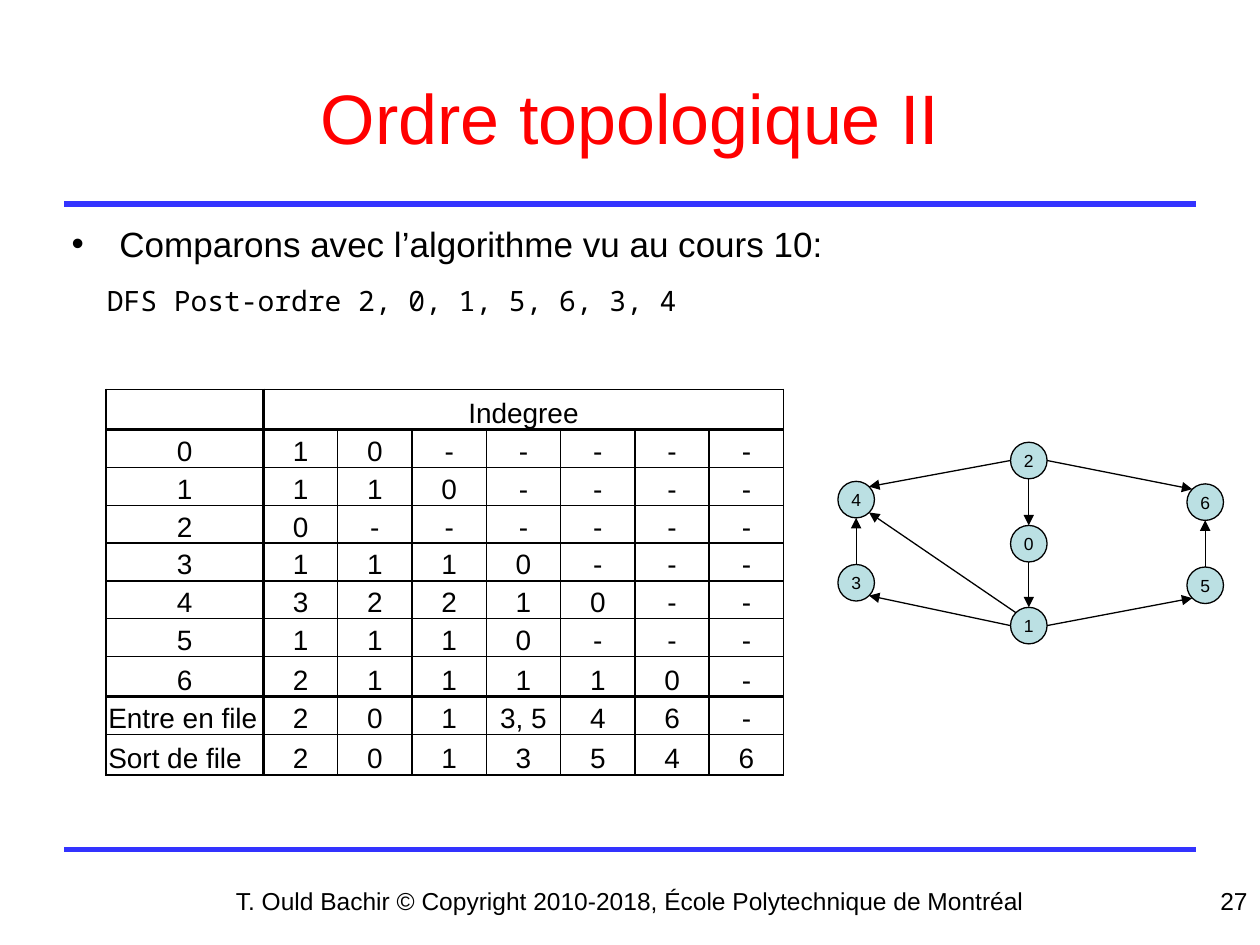
from math import cos, radians, sin
from typing import NamedTuple

from lxml.etree import SubElement
from pptx import Presentation
from pptx.dml.color import RGBColor
from pptx.enum.shapes import MSO_CONNECTOR as Connector, MSO_SHAPE as Preset
from pptx.enum.text import MSO_ANCHOR as Anchor, PP_ALIGN as Align
from pptx.oxml.ns import qn
from pptx.util import Inches, Pt

COLORS = {"title": "FF0000", "rule": "3333FF", "ink": "000000", "node": "BBE0E3"}
DIAMETER = 0.29
THIN, THICK = 1, 2.25


class Label(NamedTuple):
    text: str
    left: float
    top: float
    width: float
    height: float
    size: float
    align: Align = Align.LEFT
    anchor: Anchor = Anchor.TOP
    color: str = "ink"
    font: str = "Arial"


class Node(NamedTuple):
    name: str
    left: float
    top: float


class Edge(NamedTuple):
    """Sites run counterclockwise from the top of the circle, 45 degrees apart."""
    source: str
    source_site: int
    target: str
    target_site: int


TITLE = Label("Ordre topologique II", 0.5, 0.3, 9, 1.25, 40,
              Align.CENTER, Anchor.MIDDLE, "title")
FOOTER = Label("T. Ould Bachir © Copyright 2010-2018, École Polytechnique de Montréal",
               0, 6.98, 10, 0.52, 14, Align.CENTER)
PAGE_NUMBER = Label("27", 7.67, 6.98, 2.33, 0.52, 14, Align.RIGHT)
COMPARISON = Label("Comparons avec l’algorithme vu au cours 10:", 0.47, 1.72, 9.03, 0.86, 20)
POST_ORDER = Label("DFS Post-ordre 2, 0, 1, 5, 6, 3, 4", 0.75, 2.2, 4.96, 0.37, 16,
                   font="Noto Sans Mono")

INDEGREES = [
    ["", "Indegree", "", "", "", "", "", ""],
    ["0", "1", "0", "-", "-", "-", "-", "-"],
    ["1", "1", "1", "0", "-", "-", "-", "-"],
    ["2", "0", "-", "-", "-", "-", "-", "-"],
    ["3", "1", "1", "1", "0", "-", "-", "-"],
    ["4", "3", "2", "2", "1", "0", "-", "-"],
    ["5", "1", "1", "1", "0", "-", "-", "-"],
    ["6", "2", "1", "1", "1", "1", "0", "-"],
    ["Entre en file", "2", "0", "1", "3, 5", "4", "6", "-"],
    ["Sort de file", "2", "0", "1", "3", "5", "4", "6"],
]
COLUMN_WIDTHS = [1.25] + [0.59] * 7
ROW_HEIGHTS = [0.32] + [0.3] * 6 + [0.32, 0.3, 0.32]
THICK_BELOW = {0, 7}  # rows followed by a heavy rule

NODES = [Node("2", 8.02, 3.51), Node("0", 8.02, 4.17), Node("1", 8.02, 4.82),
         Node("6", 9.42, 3.84), Node("5", 9.42, 4.5),
         Node("4", 6.65, 3.82), Node("3", 6.65, 4.48)]
EDGES = [Edge("2", 2, "4", 7), Edge("2", 4, "0", 0), Edge("0", 4, "1", 0),
         Edge("3", 0, "4", 4), Edge("1", 2, "3", 5), Edge("2", 6, "6", 1),
         Edge("5", 0, "6", 4), Edge("1", 6, "5", 3), Edge("1", 1, "4", 5)]


def color(name: str) -> RGBColor:
    return RGBColor.from_string(COLORS[name])


def add_run(paragraph, text: str, size: float, ink: str = "ink", font: str = "Arial") -> None:
    run = paragraph.add_run()
    run.text = text
    run.font.size = Pt(size)
    run.font.name = font
    run.font.color.rgb = color(ink)


def add_label(slide, label: Label):
    box = slide.shapes.add_textbox(Inches(label.left), Inches(label.top),
                                   Inches(label.width), Inches(label.height))
    frame = box.text_frame
    frame.word_wrap = True
    frame.vertical_anchor = label.anchor
    paragraph = frame.paragraphs[0]
    paragraph.alignment = label.align
    add_run(paragraph, label.text, label.size, label.color, label.font)
    return paragraph


def add_bullet(paragraph) -> None:
    paragraph.space_before = Pt(4)
    properties = paragraph._p.get_or_add_pPr()
    properties.set("marL", str(Inches(0.38)))
    properties.set("indent", str(Inches(-0.38)))
    SubElement(properties, qn("a:buFont"), typeface="Arial")
    SubElement(properties, qn("a:buChar"), char="•")


def add_line(slide, start: tuple[float, float], end: tuple[float, float],
             ink: str, width: float):
    line = slide.shapes.add_connector(Connector.STRAIGHT, *map(Inches, start + end))
    line.line.color.rgb = color(ink)
    line.line.width = Pt(width)
    SubElement(line._element.spPr, qn("a:effectLst"))
    return line


def set_borders(cell, row: int, column: int) -> None:
    heavy = {"lnL": column == 1, "lnR": column == 0,
             "lnT": row - 1 in THICK_BELOW, "lnB": row in THICK_BELOW}
    properties = cell._tc.get_or_add_tcPr()
    for position, (side, is_heavy) in enumerate(heavy.items()):
        border = properties.makeelement(
            qn(f"a:{side}"), {"w": str(Pt(THICK if is_heavy else THIN))})
        fill = SubElement(border, qn("a:solidFill"))
        SubElement(fill, qn("a:srgbClr"), val=COLORS["ink"])
        properties.insert(position, border)


def add_indegree_table(slide) -> None:
    table = slide.shapes.add_table(
        len(ROW_HEIGHTS), len(COLUMN_WIDTHS), Inches(0.84), Inches(3.09),
        Inches(sum(COLUMN_WIDTHS)), Inches(sum(ROW_HEIGHTS))).table
    table.first_row = table.horz_banding = False
    for column, width in zip(table.columns, COLUMN_WIDTHS):
        column.width = Inches(width)
    for row, height in zip(table.rows, ROW_HEIGHTS):
        row.height = Inches(height)
    table.cell(0, 1).merge(table.cell(0, len(COLUMN_WIDTHS) - 1))
    for r, values in enumerate(INDEGREES):
        for c, value in enumerate(values):
            cell = table.cell(r, c)
            cell.fill.background()
            cell.margin_left = cell.margin_right = cell.margin_top = Inches(0.02)
            cell.margin_bottom = 0
            cell.vertical_anchor = Anchor.BOTTOM
            set_borders(cell, r, c)
            if value:
                paragraph = cell.text_frame.paragraphs[0]
                is_queue_name = c == 0 and r > 7
                paragraph.alignment = Align.LEFT if is_queue_name else Align.CENTER
                add_run(paragraph, value, 16)


def add_node(slide, node: Node):
    circle = slide.shapes.add_shape(Preset.OVAL, Inches(node.left), Inches(node.top),
                                    Inches(DIAMETER), Inches(DIAMETER))
    circle.shadow.inherit = False
    circle.fill.solid()
    circle.fill.fore_color.rgb = color("node")
    circle.line.color.rgb = color("ink")
    circle.line.width = Pt(0.75)
    frame = circle.text_frame
    frame.margin_left = frame.margin_right = frame.margin_top = frame.margin_bottom = 0
    frame.word_wrap = False
    frame.vertical_anchor = Anchor.MIDDLE
    frame.paragraphs[0].alignment = Align.CENTER
    add_run(frame.paragraphs[0], node.name, 10)
    return circle


def site_point(node: Node, site: int) -> tuple[float, float]:
    angle, radius = radians(90 + 45 * site), DIAMETER / 2
    return (node.left + radius * (1 + cos(angle)), node.top + radius * (1 - sin(angle)))


def add_graph(slide) -> None:
    nodes = {node.name: node for node in NODES}
    circles = {node.name: add_node(slide, node) for node in NODES}
    for edge in EDGES:
        arrow = add_line(slide, site_point(nodes[edge.source], edge.source_site),
                         site_point(nodes[edge.target], edge.target_site), "ink", 0.75)
        SubElement(arrow.line._get_or_add_ln(), qn("a:tailEnd"), type="triangle")
        glue = arrow._element.find(".//" + qn("p:cNvCxnSpPr"))
        for tag, name, site in (("a:stCxn", edge.source, edge.source_site),
                                ("a:endCxn", edge.target, edge.target_site)):
            SubElement(glue, qn(tag), id=str(circles[name].shape_id), idx=str(site))


def main() -> None:
    deck = Presentation()
    deck.slide_width, deck.slide_height = Inches(10), Inches(7.5)
    slide = deck.slides.add_slide(deck.slide_layouts[6])
    for y in (6.74, 1.62):
        add_line(slide, (0.51, y), (9.49, y), "rule", 3)
    for label in (TITLE, FOOTER, PAGE_NUMBER):
        add_label(slide, label)
    add_bullet(add_label(slide, COMPARISON))
    add_indegree_table(slide)
    add_label(slide, POST_ORDER)
    add_graph(slide)
    deck.save("out.pptx")


if __name__ == "__main__":
    main()
